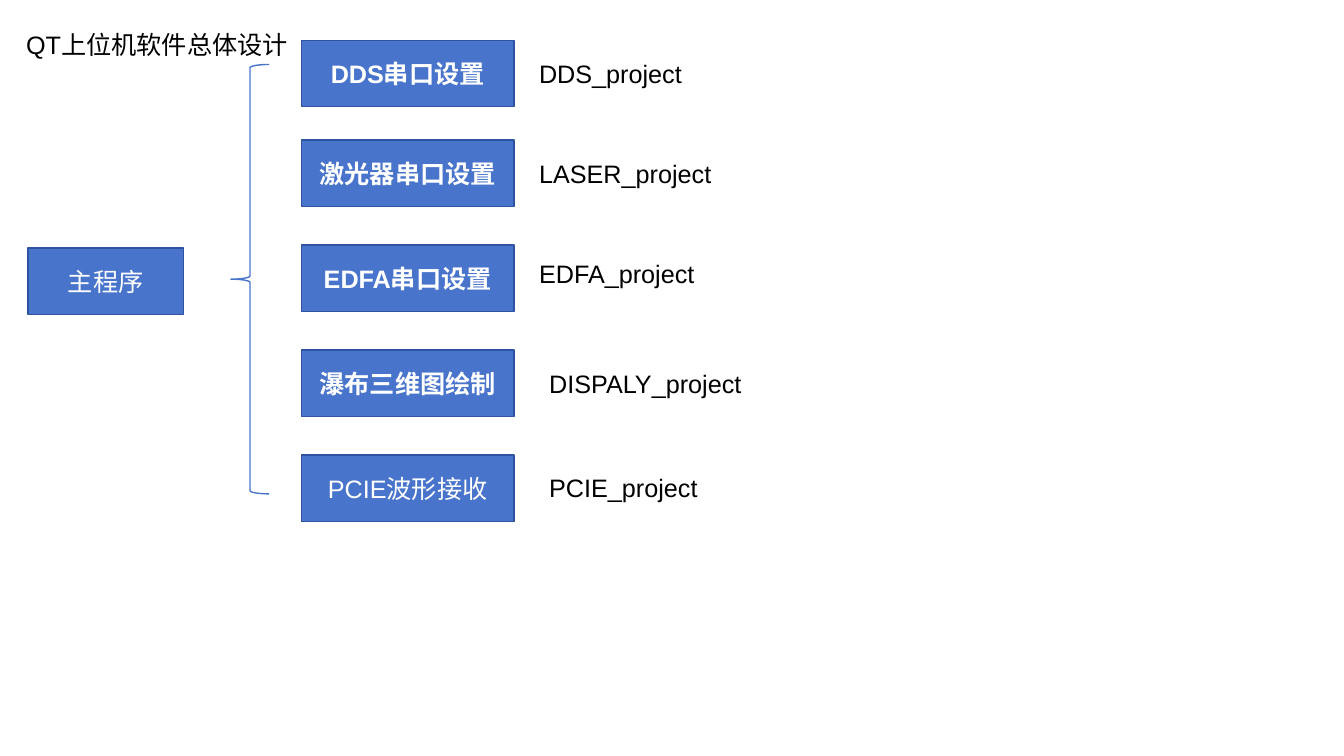
from lxml.etree import SubElement
from pptx import Presentation
from pptx.dml.color import RGBColor
from pptx.enum.shapes import MSO_SHAPE as Shape
from pptx.enum.text import MSO_ANCHOR as Anchor, MSO_AUTO_SIZE as AutoSize, PP_ALIGN as Align
from pptx.oxml.ns import qn
from pptx.util import Pt

FONT = "Arial"
BLUE = "4874CB"
DARK_BLUE = "2E54A1"
BOX_LEFT, BOX_WIDTH, BOX_HEIGHT = 215.3, 152, 47.5
LABEL_HEIGHT = 29

MODULES = [
    ("DDS串口设置", True, 28.8, "DDS_project", 378, 38.2),
    ("激光器串口设置", True, 100, "LASER_project", 378, 109.5),
    ("EDFA串口设置", True, 175, "EDFA_project", 378, 180.7),
    ("瀑布三维图绘制", True, 250, "DISPALY_project", 385.2, 259.2),
    ("PCIE波形接收", False, 325, "PCIE_project", 385.2, 334.1),
]


def color(hex_code):
    return RGBColor.from_string(hex_code)


def write(shape, text, ink="000000", bold=False, align=Align.LEFT, anchor=Anchor.TOP):
    frame = shape.text_frame
    frame.word_wrap = True
    frame.auto_size = AutoSize.NONE
    frame.vertical_anchor = anchor
    paragraph = frame.paragraphs[0]
    paragraph.alignment = align
    run = paragraph.add_run()
    run.text = text
    run.font.name = FONT
    run.font.size = Pt(18)
    run.font.bold = bold
    run.font.color.rgb = color(ink)
    SubElement(run.font._element, qn("a:ea")).set("typeface", FONT)


def add_outlined(slide, kind, left, top, width, height, outline):
    shape = slide.shapes.add_shape(kind, Pt(left), Pt(top), Pt(width), Pt(height))
    shape.shadow.inherit = False
    shape.line.color.rgb = color(outline)
    shape.line.width = Pt(1)
    return shape


def add_box(slide, text, left, top, width, bold=False):
    box = add_outlined(slide, Shape.RECTANGLE, left, top, width, BOX_HEIGHT, DARK_BLUE)
    box.fill.solid()
    box.fill.fore_color.rgb = color(BLUE)
    write(box, text, ink="FFFFFF", bold=bold, align=Align.CENTER, anchor=Anchor.MIDDLE)


def add_brace(slide, left, top, width, height):
    brace = add_outlined(slide, Shape.LEFT_BRACE, left, top, width, height, BLUE)
    brace.fill.background()


def add_label(slide, text, left, top):
    label = slide.shapes.add_textbox(Pt(left), Pt(top), Pt(161), Pt(LABEL_HEIGHT))
    write(label, text)


def set_title(slide, text, left, top, width):
    title = slide.shapes.title
    title.left, title.top = Pt(left), Pt(top)
    title.width, title.height = Pt(width), Pt(LABEL_HEIGHT)
    write(title, text)


def main():
    deck = Presentation()
    deck.slide_width, deck.slide_height = Pt(960), Pt(540)
    slide = deck.slides.add_slide(deck.slide_layouts[5])
    set_title(slide, "QT上位机软件总体设计", 11.5, 17.3, 203.8)
    add_box(slide, "主程序", 20, 177.1, 111)
    add_brace(slide, 164.9, 46.1, 27.4, 306.7)
    for name, bold, box_top, project, label_left, label_top in MODULES:
        add_box(slide, name, BOX_LEFT, box_top, BOX_WIDTH, bold=bold)
        add_label(slide, project, label_left, label_top)
    deck.save("out.pptx")


if __name__ == "__main__":
    main()
